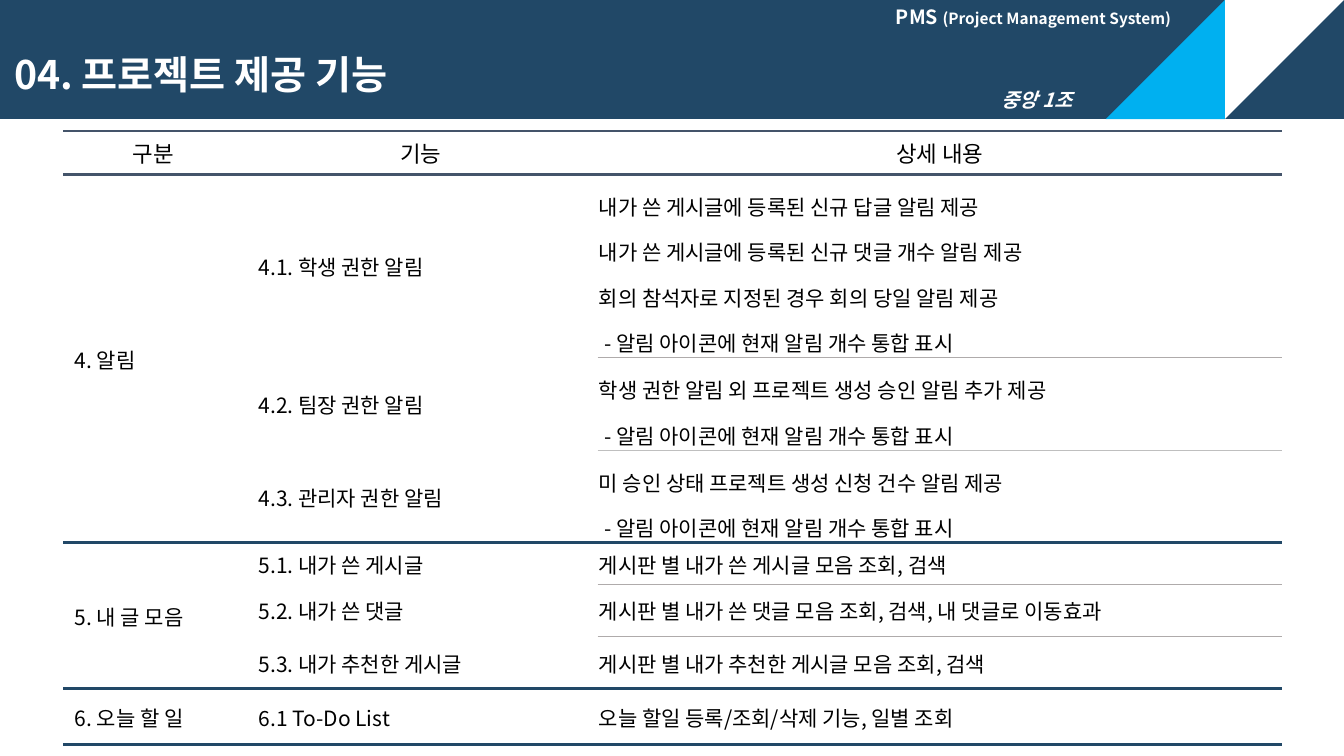
import pptx
import pptx.dml.color
import pptx.enum.shapes
import pptx.enum.text
import pptx.oxml
import pptx.oxml.ns
import pptx.util
from pptx.util import Cm

RGBColor = pptx.dml.color.RGBColor
NAVY = RGBColor(0x21, 0x48, 0x67)
SKY = RGBColor(0x00, 0xB0, 0xF0)
SLATE = RGBColor(0x44, 0x54, 0x6A)
GRAY = RGBColor(0xAF, 0xAB, 0xAB)
SILVER = RGBColor(0xBF, 0xBF, 0xBF)
WHITE = RGBColor(0xFF, 0xFF, 0xFF)
BLACK = RGBColor(0x00, 0x00, 0x00)

SHAPE = pptx.enum.shapes.MSO_SHAPE
MIDDLE = pptx.enum.text.MSO_ANCHOR.MIDDLE
LEFT = pptx.enum.text.PP_ALIGN.LEFT
CENTER = pptx.enum.text.PP_ALIGN.CENTER

HEADINGS = ["구분", "기능", "상세 내용"]
SHOW_COUNT = "- 알림 아이콘에 현재 알림 개수 통합 표시"
# Each group: name, then its features with their detail lines
GROUPS = [
    ("4. 알림", [
        ("4.1. 학생 권한 알림", ["내가 쓴 게시글에 등록된 신규 답글 알림 제공",
                           "내가 쓴 게시글에 등록된 신규 댓글 개수 알림 제공",
                           "회의 참석자로 지정된 경우 회의 당일 알림 제공", SHOW_COUNT]),
        ("4.2. 팀장 권한 알림", ["학생 권한 알림 외 프로젝트 생성 승인 알림 추가 제공", SHOW_COUNT]),
        ("4.3. 관리자 권한 알림", ["미 승인 상태 프로젝트 생성 신청 건수 알림 제공", SHOW_COUNT]),
    ]),
    ("5. 내 글 모음", [
        ("5.1. 내가 쓴 게시글", ["게시판 별 내가 쓴 게시글 모음 조회, 검색"]),
        ("5.2. 내가 쓴 댓글", ["게시판 별 내가 쓴 댓글 모음 조회, 검색, 내 댓글로 이동효과"]),
        ("5.3. 내가 추천한 게시글", ["게시판 별 내가 추천한 게시글 모음 조회, 검색"]),
    ]),
    ("6. 오늘 할 일", [
        ("6.1 To-Do List", ["오늘 할일 등록/조회/삭제 기능, 일별 조회"]),
    ]),
]
COLUMN_WIDTHS = [4.55, 8.92, 17.25]
# Detail rows are as tall as their lines, so the table ends above the slide's edge
ROW_HEIGHTS = [1.09, 4.62, 2.33, 2.33, 1.04, 1.32, 1.32, 1.4]
# Horizontal rules from the table's top to its bottom: colour, points
RULES = [(SLATE, 2.25), (SLATE, 2.25), (GRAY, 0.75), (SILVER, 0.75), (NAVY, 2.25),
         (GRAY, 0.75), (GRAY, 0.75), (NAVY, 2.25), (NAVY, 2.25)]
DETAIL = 2


class Deck:
    font_name = "Noto Sans CJK KR"

    def __init__(self):
        self.presentation = pptx.Presentation()
        self.presentation.slide_width = Cm(33.87)
        self.presentation.slide_height = Cm(19.05)
        self.slide = self.presentation.slides.add_slide(self.presentation.slide_layouts[5])

    def style(self, paragraph, size, color, bold=False, italic=False):
        font = paragraph.font
        font.name, font.size = self.font_name, pptx.util.Pt(size)
        font.bold, font.italic = bold, italic
        font.color.rgb = color
        east_asian = pptx.oxml.parse_xml(
            f'<a:ea {pptx.oxml.ns.nsdecls("a")} typeface="{self.font_name}"/>')
        paragraph._p.find(".//" + pptx.oxml.ns.qn("a:latin")).addnext(east_asian)

    def block(self, preset, left, width, color, rotation=0):
        shape = self.slide.shapes.add_shape(preset, Cm(left), 0, Cm(width), Cm(3))
        shape.rotation = rotation
        shape.shadow.inherit = False
        shape.fill.solid()
        shape.fill.fore_color.rgb = color
        shape.line.fill.background()

    def title(self, text):
        title = self.slide.shapes.title
        title.left, title.top, title.width, title.height = Cm(0.1), Cm(1), Cm(21.67), Cm(1.85)
        title.element.getparent().append(title.element)  # in front of the band
        title.text_frame.text = text
        title.text_frame.vertical_anchor = MIDDLE
        paragraph = title.text_frame.paragraphs[0]
        paragraph.alignment = LEFT
        paragraph.line_spacing = 0.9
        self.style(paragraph, 28, WHITE, bold=True)

    def label(self, left, top, width, runs, italic=False):
        box = self.slide.shapes.add_textbox(Cm(left), Cm(top), Cm(width), Cm(0.86))
        box.text_frame.word_wrap = True
        paragraph = box.text_frame.paragraphs[0]
        for text, size in runs:
            run = paragraph.add_run()
            run.text = text
            run.font.size = pptx.util.Pt(size)
        self.style(paragraph, runs[0][1], WHITE, bold=True, italic=italic)

    def table(self, left, top):
        table = self.slide.shapes.add_table(
            len(ROW_HEIGHTS), len(COLUMN_WIDTHS), Cm(left), Cm(top),
            Cm(sum(COLUMN_WIDTHS)), Cm(sum(ROW_HEIGHTS))).table
        table.first_row = table.horz_banding = False
        for column, width in zip(table.columns, COLUMN_WIDTHS):
            column.width = Cm(width)
        for row, height in zip(table.rows, ROW_HEIGHTS):
            row.height = Cm(height)
        return table

    def cell(self, cell, lines, indent=0.03, size=15, alignment=LEFT):
        cell.vertical_anchor = MIDDLE
        cell.margin_left, cell.margin_right = Cm(indent), Cm(0.03)
        cell.margin_top, cell.margin_bottom = Cm(0.03), 0
        frame = cell.text_frame
        for index, line in enumerate(lines):
            paragraph = frame.add_paragraph() if index else frame.paragraphs[0]
            paragraph.text = line
            paragraph.alignment = alignment
            if len(lines) > 1:
                paragraph.line_spacing = 1.5
            if line.startswith("-"):
                paragraph._p.get_or_add_pPr().set("marL", str(Cm(0.14)))
            self.style(paragraph, size, BLACK)

    def borders(self, cell, above, below):
        properties = cell._tc.get_or_add_tcPr()
        for side, rule in (("L", None), ("R", None), ("T", above), ("B", below)):
            width = pptx.util.Pt(rule[1]) if rule else 0
            paint = (f'<a:solidFill><a:srgbClr val="{rule[0]}"/></a:solidFill>'
                     if rule else "<a:noFill/>")
            properties.append(pptx.oxml.parse_xml(
                f'<a:ln{side} {pptx.oxml.ns.nsdecls("a")} w="{width}">{paint}</a:ln{side}>'))
        cell.fill.background()


def main():
    deck = Deck()

    # Header band
    deck.block(SHAPE.RECTANGLE, 0, 33.87, NAVY)
    deck.block(SHAPE.RIGHT_TRIANGLE, 30.87, 3, WHITE, 90)
    deck.block(SHAPE.RIGHT_TRIANGLE, 27.87, 3, SKY, 270)
    deck.label(25, 2.1, 2.85, [("중앙 1조", 14)], italic=True)
    deck.label(22.33, 0, 7.7, [("PMS ", 14), ("(Project Management System)", 11)])
    deck.title("04. 프로젝트 제공 기능")

    # Feature table
    features = deck.table(1.59, 3.3)
    for column, heading in enumerate(HEADINGS):
        deck.cell(features.cell(0, column), [heading], size=16, alignment=CENTER)
    row = 1
    group_ends = {0: 0}
    for group, members in GROUPS:
        last = row + len(members) - 1
        group_ends[row] = last
        deck.cell(features.cell(row, 0), [group], indent=0.29)
        if last > row:
            features.cell(row, 0).merge(features.cell(last, 0))
        for feature, details in members:
            deck.cell(features.cell(row, 1), [feature], indent=0.38)
            deck.cell(features.cell(row, DETAIL), details)
            row += 1

    # Rules: thin ones run under the details only
    for row in range(len(ROW_HEIGHTS)):
        for column in range(len(COLUMN_WIDTHS)):
            bottom = group_ends.get(row, row) if column == 0 else row
            above, below = [rule if column == DETAIL or rule[1] > 1 else None
                            for rule in (RULES[row], RULES[bottom + 1])]
            deck.borders(features.cell(row, column), above, below)

    deck.presentation.save("out.pptx")


if __name__ == "__main__":
    main()
